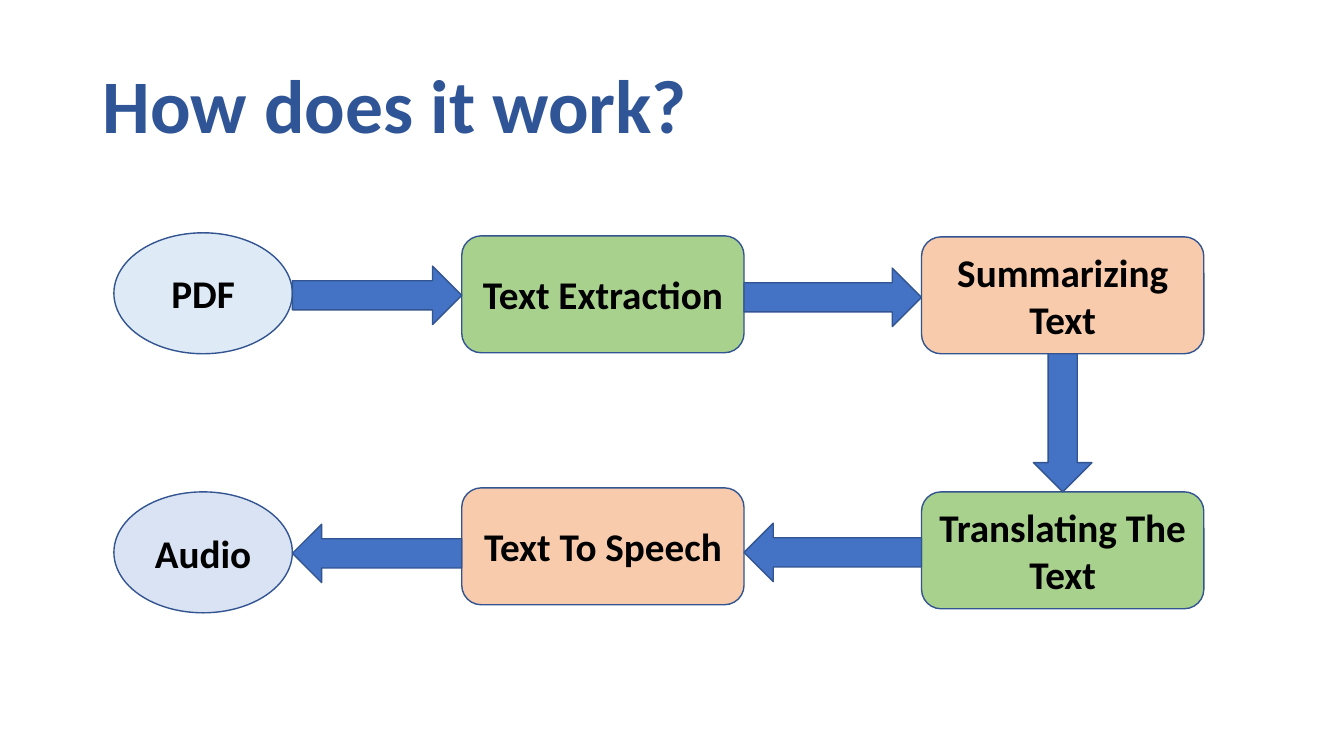
import dataclasses

import pptx
import pptx.dml.color
import pptx.enum.shapes
import pptx.enum.text
import pptx.util

Inches = pptx.util.Inches
Pt = pptx.util.Pt
Shape = pptx.enum.shapes.MSO_SHAPE
Align = pptx.enum.text.PP_ALIGN
Anchor = pptx.enum.text.MSO_ANCHOR


@dataclasses.dataclass(frozen=True)
class Theme:
    font: str = "Calibri"
    head: str = "2F5597"
    ink: str = "000000"
    edge: str = "325491"
    arrow: str = "4472C4"
    sky: str = "DEEBF7"
    haze: str = "DAE3F3"
    green: str = "A9D18E"
    peach: str = "F8CBAD"
    big: int = 54
    body: int = 28


def tint(code):
    return pptx.dml.color.RGBColor.from_string(code)


class Board:
    def __init__(self, slide, theme):
        self.slide = slide
        self.theme = theme

    def label(self, item, text, size, color, align):
        frame = item.text_frame
        frame.word_wrap = True
        frame.vertical_anchor = Anchor.MIDDLE
        para = frame.paragraphs[0]
        para.alignment = align
        run = para.add_run()
        run.text = text
        run.font.name = self.theme.font
        run.font.size = Pt(size)
        run.font.bold = True
        run.font.color.rgb = tint(color)
        return para

    def title(self, text, left, top, width, height):
        box = self.slide.shapes.add_textbox(
            Inches(left), Inches(top), Inches(width), Inches(height))
        para = self.label(box, text, self.theme.big, self.theme.head, Align.LEFT)
        para.line_spacing = 0.9

    def shape(self, kind, left, top, width, height, fill):
        item = self.slide.shapes.add_shape(
            kind, Inches(left), Inches(top), Inches(width), Inches(height))
        item.shadow.inherit = False
        item.fill.solid()
        item.fill.fore_color.rgb = tint(fill)
        item.line.color.rgb = tint(self.theme.edge)
        item.line.width = Pt(1)
        return item

    def node(self, text, kind, left, top, width, height, fill):
        item = self.shape(kind, left, top, width, height, fill)
        self.label(item, text, self.theme.body, self.theme.ink, Align.CENTER)

    def arrow(self, kind, left, top, width, height):
        self.shape(kind, left, top, width, height, self.theme.arrow)


def main():
    deck = pptx.Presentation()
    deck.slide_width = Inches(13.33)
    deck.slide_height = Inches(7.5)
    theme = Theme()
    board = Board(deck.slides.add_slide(deck.slide_layouts[6]), theme)

    board.title("How does it work?", 0.92, 0.36, 11.5, 1.45)

    oval_x, mid_x, last_x = 1.13, 4.58, 9.14
    oval_w, oval_h = 1.77, 1.2
    step_w, step_h = 2.8, 1.16
    thick = 0.58

    for text, top, fill in (("PDF", 2.31, theme.sky),
                            ("Audio", 4.88, theme.haze)):
        board.node(text, Shape.OVAL, oval_x, top, oval_w, oval_h, fill)

    for text, left, top, fill in (
            ("Text Extraction", mid_x, 2.34, theme.green),
            ("Summarizing Text", last_x, 2.35, theme.peach),
            ("Translating The Text", last_x, 4.88, theme.green),
            ("Text To Speech", mid_x, 4.84, theme.peach)):
        board.node(text, Shape.ROUNDED_RECTANGLE, left, top, step_w, step_h, fill)

    gaps = ((oval_x + oval_w, mid_x), (mid_x + step_w, last_x))
    for kind, tops in ((Shape.RIGHT_ARROW, (2.64, 2.66)),
                       (Shape.LEFT_ARROW, (5.2, 5.19))):
        for (start, end), top in zip(gaps, tops):
            board.arrow(kind, start, top, end - start, thick)

    board.arrow(Shape.DOWN_ARROW, last_x + (step_w - thick) / 2, 3.51, thick, 1.37)

    deck.save("out.pptx")


if __name__ == "__main__":
    main()
